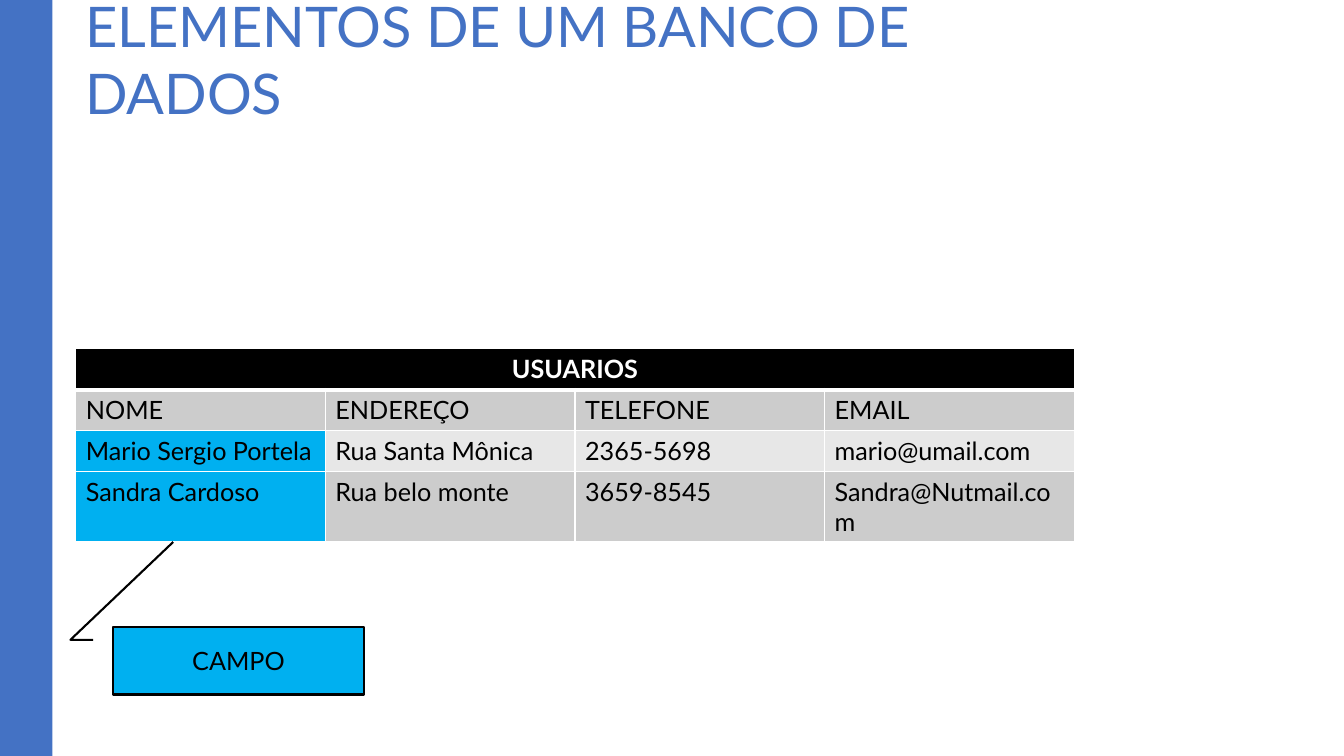
from dataclasses import dataclass

import pptx
import pptx.dml.color
import pptx.enum.shapes
import pptx.enum.text
import pptx.oxml
import pptx.oxml.ns
import pptx.util
from pptx.util import Cm


@dataclass(frozen=True)
class Theme:
    font: str = "Lato"
    title_size: int = 40
    body_size: int = 18
    accent: str = "4472C4"
    highlight: str = "00B0F0"
    dark: str = "000000"
    light: str = "FFFFFF"
    bands: tuple = ("CCCCCC", "E7E7E7")
    grid_width: float = 1
    header_rule: float = 3
    outline: float = 1.5


THEME = Theme()
TABLE_TITLE = "USUARIOS"
USERS = [
    ("NOME", "ENDEREÇO", "TELEFONE", "EMAIL"),
    ("Mario Sergio Portela", "Rua Santa Mônica", "2365-5698", "mario@umail.com"),
    ("Sandra Cardoso", "Rua belo monte", "3659-8545", "Sandra@Nutmail.com"),
]


def rgb(color):
    return pptx.dml.color.RGBColor.from_string(color)


def paint(item, color):
    item.fill.solid()
    item.fill.fore_color.rgb = rgb(color)


def write(frame, text, size, color, bold=False, centred=False):
    para = frame.paragraphs[0]
    para.text = text
    para.font.name = THEME.font
    para.font.size = pptx.util.Pt(size)
    para.font.color.rgb = rgb(color)
    para.font.bold = bold
    align = pptx.enum.text.PP_ALIGN
    para.alignment = align.CENTER if centred else align.LEFT


def add_side_band(page, height):
    band = page.shapes.add_shape(
        pptx.enum.shapes.MSO_SHAPE.RECTANGLE, 0, 0, Cm(1.32), height)
    band.shadow.inherit = False
    paint(band, THEME.accent)
    band.line.fill.background()


def add_title(page, text):
    box = page.shapes.add_textbox(Cm(1.9), Cm(1.09), Cm(23.7), Cm(2.21))
    box.text_frame.word_wrap = True
    box.text_frame.vertical_anchor = pptx.enum.text.MSO_ANCHOR.BOTTOM
    write(box.text_frame, text, THEME.title_size, THEME.accent)


def set_borders(cell, top, bottom):
    """Put the four border lines ahead of the cell's fill."""
    properties = cell._tc.get_or_add_tcPr()
    widths = {"L": THEME.grid_width, "R": THEME.grid_width, "T": top, "B": bottom}
    for index, (side, width) in enumerate(widths.items()):
        line = pptx.oxml.parse_xml(
            f'<a:ln{side} {pptx.oxml.ns.nsdecls("a")} w="{pptx.util.Pt(width)}">'
            f'<a:solidFill><a:srgbClr val="{THEME.light}"/></a:solidFill>'
            f'</a:ln{side}>')
        properties.insert(index, line)


def add_user_table(page):
    rows, columns = len(USERS) + 1, len(USERS[0])
    table = page.shapes.add_table(
        rows, columns, Cm(1.91), Cm(8.79), Cm(25.16), Cm(1.03) * rows).table
    table.first_row = table.horz_banding = False

    # Heading across all columns
    table.cell(0, 0).merge(table.cell(0, columns - 1))
    write(table.cell(0, 0).text_frame, TABLE_TITLE, THEME.body_size,
          THEME.light, bold=True, centred=True)
    for column in range(columns):
        cell = table.cell(0, column)
        paint(cell, THEME.dark)
        set_borders(cell, THEME.grid_width, THEME.header_rule)

    # Field names and records, with the first field's values highlighted
    for row, values in enumerate(USERS, start=1):
        for column, value in enumerate(values):
            cell = table.cell(row, column)
            marked = column == 0 and row > 1
            paint(cell, THEME.highlight if marked else THEME.bands[(row - 1) % 2])
            write(cell.text_frame, value, THEME.body_size, THEME.dark)
            top = THEME.header_rule if row == 1 else THEME.grid_width
            set_borders(cell, top, THEME.grid_width)


def add_callout(page, text):
    callout = page.shapes.add_shape(
        pptx.enum.shapes.MSO_SHAPE.LINE_CALLOUT_2,
        Cm(2.85), Cm(15.8), Cm(6.32), Cm(1.7))
    callout.shadow.inherit = False
    # Pointer: vertical and horizontal share of the box for each point
    for index, share in enumerate((0.19, -0.08, 0.19, -0.17, -1.26, 0.24)):
        callout.adjustments[index] = share
    paint(callout, THEME.highlight)
    callout.line.color.rgb = rgb(THEME.dark)
    callout.line.width = pptx.util.Pt(THEME.outline)
    callout.text_frame.vertical_anchor = pptx.enum.text.MSO_ANCHOR.MIDDLE
    write(callout.text_frame, text, THEME.body_size, THEME.dark, centred=True)


def main():
    deck = pptx.Presentation()
    deck.slide_width, deck.slide_height = Cm(33.87), Cm(19.05)
    page = deck.slides.add_slide(deck.slide_layouts[6])
    add_side_band(page, deck.slide_height)
    add_title(page, "ELEMENTOS DE UM BANCO DE DADOS")
    add_user_table(page)
    add_callout(page, "CAMPO")
    deck.save("out.pptx")


if __name__ == "__main__":
    main()
